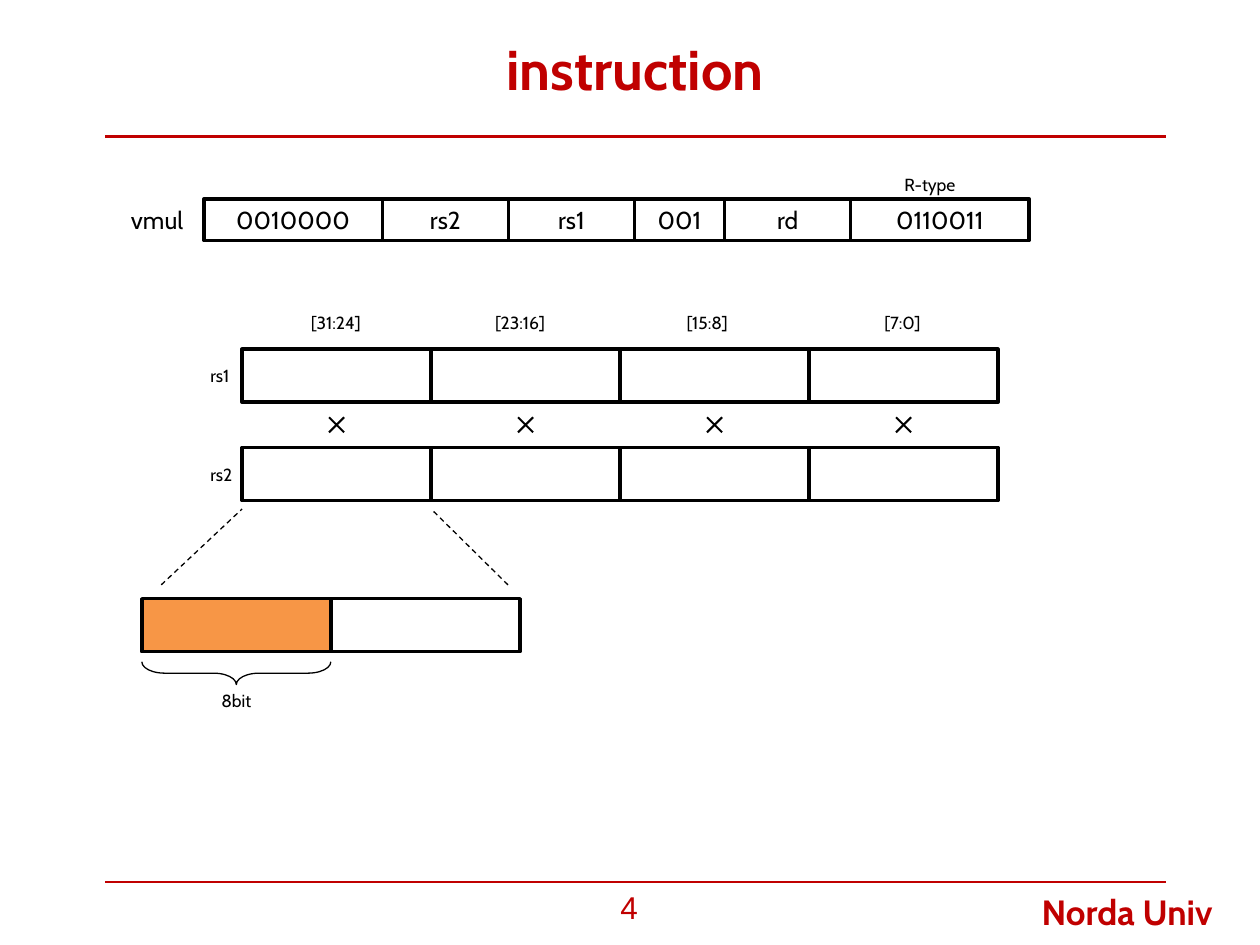
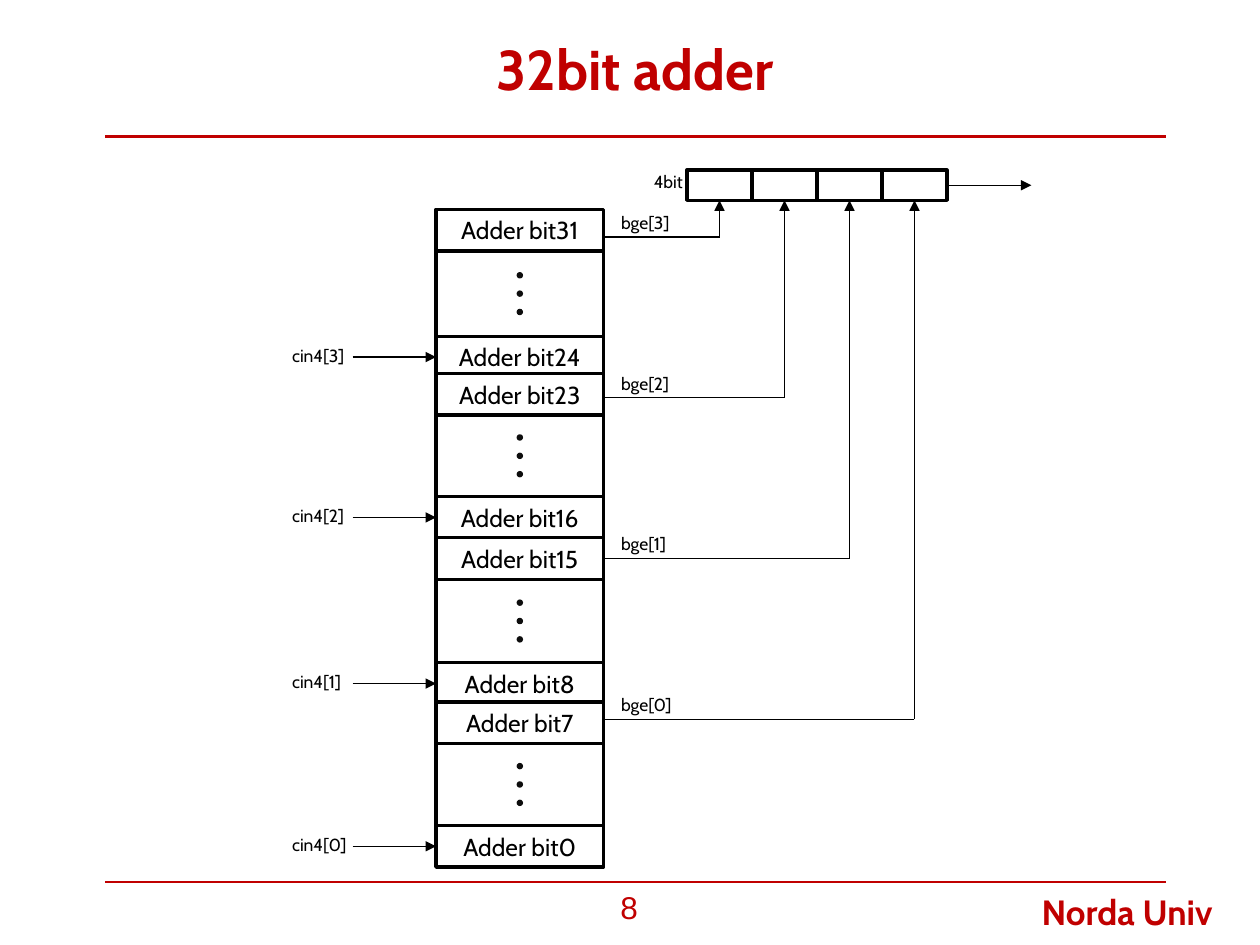
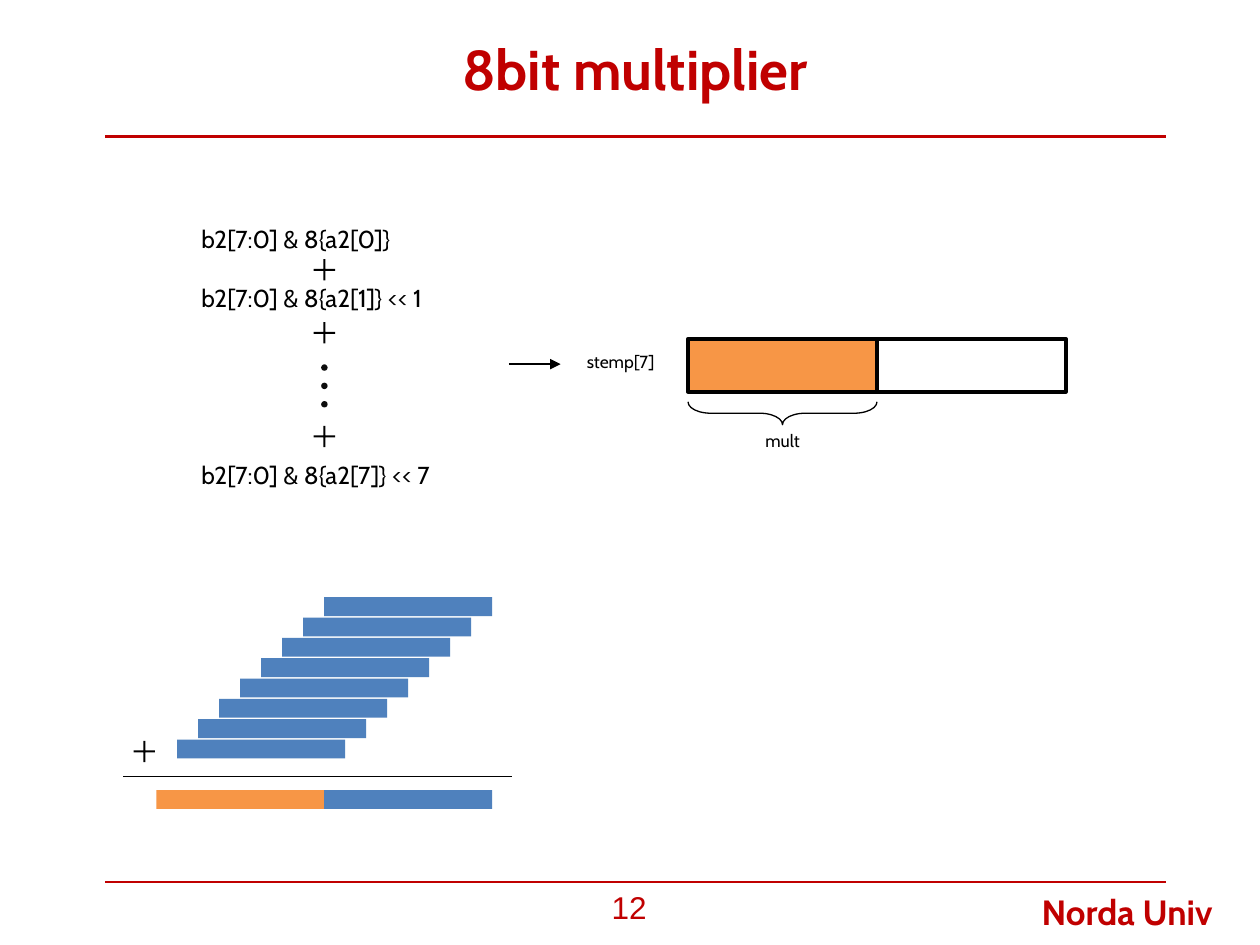
import collections

import pptx
import pptx.dml.color
import pptx.enum.dml
import pptx.enum.shapes
import pptx.enum.text
import pptx.oxml.ns
import pptx.util
from lxml import etree

Cm = pptx.util.Cm
Pt = pptx.util.Pt
SHAPE = pptx.enum.shapes.MSO_SHAPE
ALIGN = pptx.enum.text.PP_ALIGN
ANCHOR = pptx.enum.text.MSO_ANCHOR
Box = collections.namedtuple("Box", "left top width height")

RED, BLACK, WHITE = "C00000", "000000", "FFFFFF"
ORANGE, BLUE, DOT = "F79646", "4F81BD", "0D0D0D"
FONT = "Cabin"
LANE_WIDTH, LANE_HEIGHT = 3.81, 1.07
PLUS_SIZE = 0.43


def color(hex_code):
    """Turn a hex string into a colour."""
    return pptx.dml.color.RGBColor.from_string(hex_code)


def style(para, size, hue=BLACK, align=ALIGN.LEFT, bold=False, face=FONT):
    """Set the font and alignment of a paragraph."""
    para.alignment = align
    para.font.size = Pt(size)
    para.font.name = face
    para.font.bold = bold
    para.font.color.rgb = color(hue)


def label(page, text, box, size=10, anchor=ANCHOR.TOP, **look):
    """Add a text box with one paragraph per line and return its frame."""
    frame = page.shapes.add_textbox(*map(Cm, box)).text_frame
    frame.word_wrap = True
    frame.vertical_anchor = anchor
    frame.text = text
    for para in frame.paragraphs:
        style(para, size, **look)
    return frame


def shape(page, kind, box, fill=None, outline=None):
    """Add a preset shape with an optional fill and outline width."""
    item = page.shapes.add_shape(kind, *map(Cm, box))
    item.shadow.inherit = False
    if fill:
        item.fill.solid()
        item.fill.fore_color.rgb = color(fill)
    else:
        item.fill.background()
    if outline:
        item.line.color.rgb = color(BLACK)
        item.line.width = Pt(outline)
    else:
        item.line.fill.background()
    return item


def cell(page, box, text="", fill=WHITE):
    """Add an outlined register field with centred text."""
    item = shape(page, SHAPE.RECTANGLE, box, fill, 2)
    if text:
        item.text_frame.text = text
        item.text_frame.vertical_anchor = ANCHOR.MIDDLE
        style(item.text_frame.paragraphs[0], 14, align=ALIGN.CENTER)


def line(page, start, end, hue=BLACK, width=0.75, dashed=False, arrow=False):
    """Draw a straight line, dashed or with an arrowhead at its end."""
    item = page.shapes.add_connector(
        pptx.enum.shapes.MSO_CONNECTOR.STRAIGHT, *map(Cm, start + end))
    item.line.color.rgb = color(hue)
    item.line.width = Pt(width)
    if dashed:
        item.line.dash_style = pptx.enum.dml.MSO_LINE.DASH
    qn = pptx.oxml.ns.qn
    properties = item._element.spPr
    if arrow:
        etree.SubElement(properties.find(qn("a:ln")), qn("a:tailEnd"), type="triangle")
    etree.SubElement(properties, qn("a:effectLst"))


def operator(page, center_x, center_y, rotation=0):
    """Add a thin plus sign, which a rotation turns into a times sign."""
    half = PLUS_SIZE / 2
    sign = shape(page, SHAPE.CROSS,
                 Box(center_x - half, center_y - half, PLUS_SIZE, PLUS_SIZE), BLACK)
    sign.adjustments[0] = 0.452
    sign.rotation = rotation


def ellipsis(page, center_x, center_y):
    """Add three dots in a column around a centre."""
    size, pitch = 0.13, 0.37
    for step in (-1, 0, 1):
        shape(page, SHAPE.OVAL,
              Box(center_x - size / 2, center_y + step * pitch - size / 2, size, size), DOT)


def new_page(deck, title, number):
    """Add a slide with its title, rules, number and footer name."""
    page = deck.slides.add_slide(deck.slide_layouts[6])
    for height in (2.75, 17.78):
        line(page, (2.12, height), (23.5, height), RED, 1.5)
    label(page, "Norda Univ", Box(20.75, 17.83, 4.42, 1.12), 20, hue=RED, bold=True)
    label(page, title, Box(2.11, 0.2, 21.39, 2.34), 32, ANCHOR.MIDDLE,
          hue=RED, align=ALIGN.CENTER, bold=True)
    label(page, str(number), Box(10.46, 17.78, 4.45, 1.27), 18,
          hue=RED, align=ALIGN.CENTER, face="Arial")
    return page


def encoding(page, box):
    """Lay out the fields of the vmul instruction."""
    label(page, "vmul", Box(box.left - 1.72, box.top, 1.73, box.height), 14)
    label(page, "R-type", Box(box.left + 13.87, box.top - 0.63, 1.73, 0.61))
    fields = [("0010000", 3.6), ("rs2", 2.54), ("rs1", 2.54),
              ("001", 1.82), ("rd", 2.54), ("0110011", 3.6)]
    left = box.left
    for text, width in fields:
        cell(page, Box(left, box.top, width, box.height), text)
        left += width


def lanes(page, box):
    """Show the two source registers multiplied lane by lane."""
    row_tops = {"rs1": box.top, "rs2": box.top + box.height - LANE_HEIGHT}
    for name, top in row_tops.items():
        label(page, name, Box(box.left - 0.89, top + 0.2, 1.73, 0.61))
    ranges = [("[31:24]", 1.14), ("[23:16]", 1.04), ("[15:8]", 1.09), ("[7:0]", 1.27)]
    for index, (bits, indent) in enumerate(ranges):
        left = box.left + index * LANE_WIDTH
        for top in row_tops.values():
            cell(page, Box(left, top, LANE_WIDTH, LANE_HEIGHT))
        label(page, bits, Box(left + indent, box.top - 0.87, 1.73, 0.61))
        operator(page, left + LANE_WIDTH / 2, box.top + box.height / 2, 45)


def product(page, box, caption):
    """Show a double-width product with its upper half braced."""
    half = box.width / 2
    for index, fill in enumerate((ORANGE, WHITE)):
        cell(page, Box(box.left + index * half, box.top, half, box.height), fill=fill)
    depth = 0.46
    brace = shape(page, SHAPE.LEFT_BRACE,
                  Box(box.left + (half - depth) / 2,
                      box.top + 1.27 + (depth - half) / 2, depth, half), outline=0.75)
    brace.adjustments[0] = 0.994
    brace.rotation = 270
    label(page, caption, Box(box.left, box.top + 1.71, half, 0.61), align=ALIGN.CENTER)


def adder_column(page, box):
    """Stack four byte adders with their carry inputs."""
    row, pitch = 0.84, 3.31
    for index, drop in enumerate((2.56, 2.48, 2.52, 2.49)):
        top, high = box.top + index * pitch, 31 - 8 * index
        low_top = top + drop
        cell(page, Box(box.left, top + 0.82, box.width, drop - 0.8))
        ellipsis(page, box.left + box.width / 2, top + 0.42 + drop / 2)
        cell(page, Box(box.left, low_top, box.width, row), f"Adder bit{high - 7}")
        cell(page, Box(box.left, top, box.width, row), f"Adder bit{high}")
        label(page, f"cin4[{3 - index}]", Box(box.left - 3.15, low_top + 0.05, 2.11, 0.64))
        middle = low_top + row / 2
        line(page, (box.left - 1.68, middle), (box.left, middle), arrow=True)


def carry_register(page, box, adder_right):
    """Collect the carry outputs of the adders in a 4-bit register."""
    width, bottom = box.width / 4, box.top + box.height
    middle, right = box.top + box.height / 2, box.left + box.width
    label(page, "4bit", Box(box.left - 0.92, box.top - 0.1, 2.11, 0.64))
    for index in range(4):
        left = box.left + index * width
        center, height = left + width / 2, bottom + 0.74 + index * 3.24
        cell(page, Box(left, box.top, width, box.height))
        line(page, (adder_right, height), (center, height))
        line(page, (center, height), (center, bottom), arrow=True)
        label(page, f"bge[{3 - index}]", Box(adder_right + 0.1, height - 0.63, 2.11, 0.64))
    line(page, (right, middle), (right + 1.7, middle), arrow=True)


def partial_sums(page, box):
    """Write the shifted partial products and the signs between them."""
    terms = ["b2[7:0] & 8{a2[0]}", "b2[7:0] & 8{a2[1]} << 1", "b2[7:0] & 8{a2[7]} << 7"]
    frame = label(page, "\n".join(terms), box, 14)
    for para, gap in zip(frame.paragraphs, (0, 17, 84)):
        para.space_before = Pt(gap)
    center = box.left + 2.73
    for offset in (1.05, 2.32, 4.41):
        operator(page, center, box.top + offset)
    ellipsis(page, center, box.top + 3.39)


def staircase(page, box):
    """Draw eight shifted rows above their double-width sum."""
    width, height, pitch = box.width / 2, 0.38, 0.41
    for index in range(8):
        shape(page, SHAPE.RECTANGLE,
              Box(box.left + width - index * width / 8, box.top + index * pitch,
                  width, height), BLUE)
    for index, fill in enumerate((ORANGE, BLUE)):
        shape(page, SHAPE.RECTANGLE,
              Box(box.left + index * width, box.top + box.height - height,
                  width, height), fill)
    rule = box.top + 3.61
    line(page, (box.left - 0.66, rule), (box.left + box.width + 0.4, rule))
    operator(page, box.left - 0.24, box.top + 3.11)


def instruction_page(deck):
    """Build the slide on the vmul instruction."""
    page = new_page(deck, "instruction", 4)
    encoding(page, Box(4.11, 4.01, 16.64, 0.84))
    lanes(page, Box(4.88, 7.04, 4 * LANE_WIDTH, 3.05))
    product(page, Box(2.86, 12.07, 2 * LANE_WIDTH, LANE_HEIGHT), "8bit")
    for bottom_x, top_x in ((3.25, 4.88), (10.24, 8.69)):
        line(page, (bottom_x, 11.79), (top_x, 10.26), dashed=True)


def adder_page(deck):
    """Build the slide on the 32-bit adder."""
    page = new_page(deck, "32bit adder", 8)
    column = Box(8.79, 4.22, 3.38, 13.26)
    adder_column(page, column)
    carry_register(page, Box(13.85, 3.43, 5.24, 0.61), column.left + column.width)


def multiplier_page(deck):
    """Build the slide on the 8-bit multiplier."""
    page = new_page(deck, "8bit multiplier", 12)
    partial_sums(page, Box(3.81, 4.39, 6.35, 6.2))
    line(page, (10.26, 7.34), (11.3, 7.34), arrow=True)
    label(page, "stemp[7]", Box(11.58, 6.96, 2.06, 0.61))
    product(page, Box(13.87, 6.83, 2 * LANE_WIDTH, LANE_HEIGHT), "mult")
    staircase(page, Box(3.15, 12.04, 6.77, 4.27))


def main():
    """Build and save the deck."""
    deck = pptx.Presentation()
    deck.slide_width, deck.slide_height = Cm(25.4), Cm(19.05)
    instruction_page(deck)
    adder_page(deck)
    multiplier_page(deck)
    deck.save("out.pptx")


if __name__ == "__main__":
    main()
